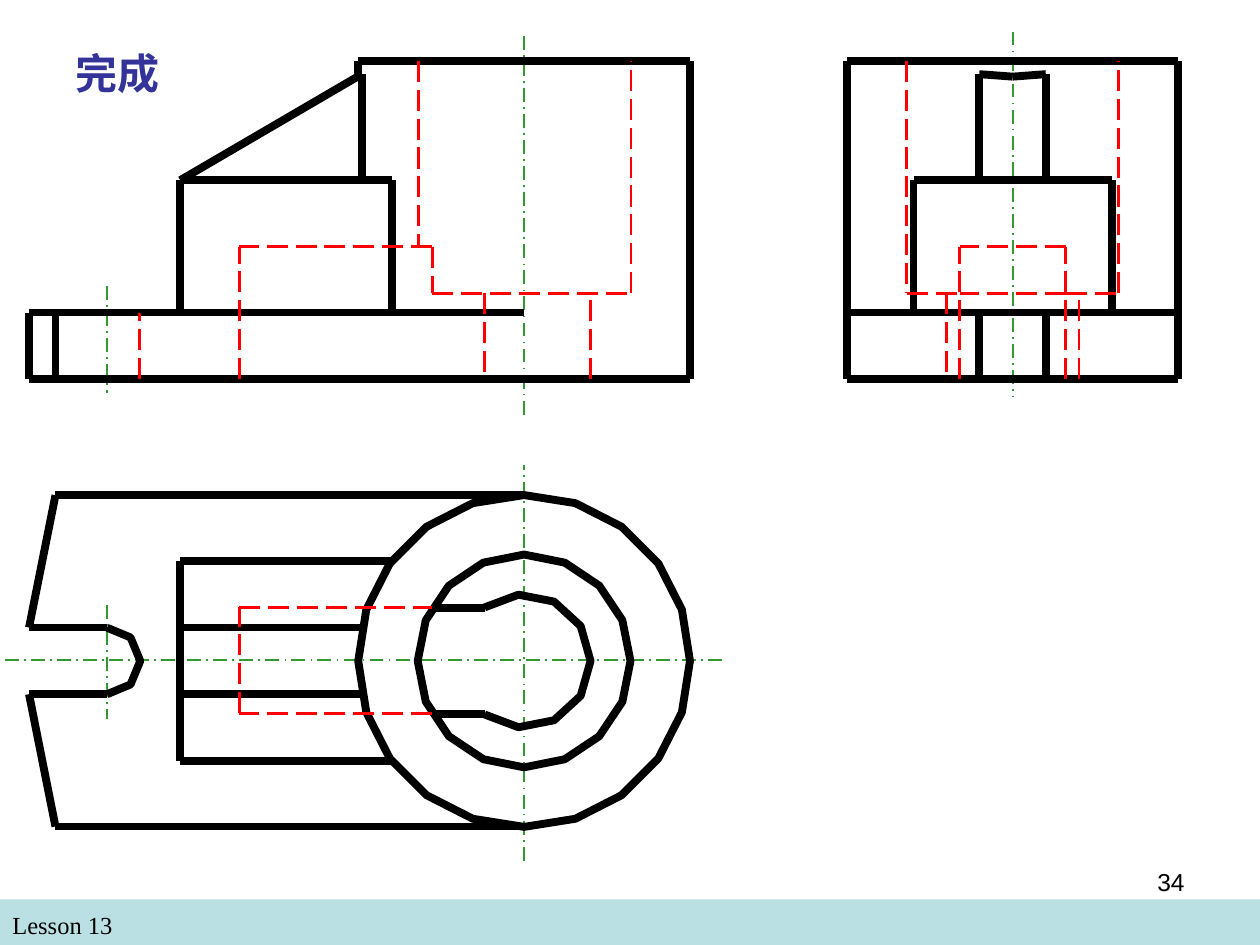
from dataclasses import dataclass
from math import cos, radians, sin

from lxml import etree
from pptx import Presentation
from pptx import util as u
from pptx.dml.color import RGBColor
from pptx.enum import dml, shapes, text
from pptx.oxml.ns import qn

COLOURS = {"centre": "339933", "edge": "000000", "hidden": "FF0000",
           "title": "333399", "footer": "BBE0E3", "ink": "000000"}


@dataclass(frozen=True)
class Pen:
    colour: str
    width: float
    dash: dml.MSO_LINE | None = None


@dataclass(frozen=True)
class Across:
    y: float
    stops: tuple[float, ...]

    def points(self) -> list[tuple[float, float]]:
        return [(x, self.y) for x in self.stops]


@dataclass(frozen=True)
class Down:
    x: float
    stops: tuple[float, ...]

    def points(self) -> list[tuple[float, float]]:
        return [(self.x, y) for y in self.stops]


@dataclass(frozen=True)
class Slant:
    start: tuple[float, float]
    end: tuple[float, float]

    def points(self) -> list[tuple[float, float]]:
        return [self.start, self.end]


@dataclass(frozen=True)
class Arc:
    x: float
    y: float
    radius: float
    sides: int
    reach: float = 180

    def points(self) -> list[tuple[float, float]]:
        angles = [radians(self.reach * (1 - 2 * i / self.sides)) for i in range(self.sides + 1)]
        return [(self.x + self.radius * cos(a), self.y + self.radius * sin(a)) for a in angles]


@dataclass(frozen=True)
class Label:
    words: str
    box: tuple[float, float, float, float]
    size: float
    font: str
    colour: str
    bold: bool = False
    align: text.PP_ALIGN = text.PP_ALIGN.LEFT


CENTRE = Pen("centre", 1, dml.MSO_LINE.LONG_DASH_DOT)
EDGE = Pen("edge", 4.5)
HIDDEN = Pen("hidden", 1.5, dml.MSO_LINE.LONG_DASH)

CENTRE_LINES = [
    Down(299.5, (491.8, 265.7)), Across(377.3, (412.6, 0)), Down(578.7, (18, 226.8)),
    Down(61.2, (345.6, 411.1)), Down(299.5, (236.9, 18)), Down(61.2, (163.4, 224.6)),
]
PLAN_EDGES = [
    Across(283, (31.7, 299.5)), Across(472.3, (299.5, 31.7)),
    Down(103, (434.9, 396.7, 358.6, 320.4)),
    Across(434.9, (223.9, 103)), Across(320.4, (103, 223.9)),
    Slant((16.6, 396.7), (31.7, 472.3)), Slant((31.7, 283), (16.6, 358.6)),
    Arc(61.2, 377.7, 19, 4, 90),
    Across(358.6, (16.6, 61.2)), Across(396.7, (61.2, 16.6)),
    Arc(299.5, 377.7, 94.8, 20),
    Across(396.7, (103, 207)), Across(358.6, (207, 103)),
    Across(407.8, (247, 277.2)), Across(347.4, (277.2, 247)),
    Arc(299.5, 377.7, 38, 8, 126.4), Arc(299.5, 377.7, 60.8, 16),
]
SIDE_EDGES = [
    Across(103, (635.2, 597.6, 559.6, 522)),
    Down(635.2, (178.6, 103)), Down(522, (178.6, 103)),
    Across(178.6, (483.9, 559.6, 597.6, 673.2)),
    Across(216.7, (673.2, 597.6, 559.6, 483.9)),
    Down(673.2, (34.7, 178.6, 216.7)), Down(483.9, (34.7, 178.6, 216.7)),
    Down(559.6, (42.4, 103)), Down(597.6, (42.4, 103)),
    Down(559.6, (178.6, 216.7)), Down(597.6, (178.6, 216.7)),
    Across(34.7, (483.9, 503.3, 673.2)),
    Slant((559.6, 42.4), (578.7, 43.8)), Slant((578.7, 43.8), (597.6, 42.4)),
]
FRONT_EDGES = [
    Across(34.7, (204.6, 394.4)), Across(216.7, (16.6, 31.7, 299.5, 394.4)),
    Across(178.6, (16.6, 31.7, 299.5)),
    Down(16.6, (178.6, 216.7)), Down(31.7, (178.6, 216.7)),
    Slant((103, 103), (206.8, 42.4)), Across(103, (223.9, 103)),
    Down(103, (178.6, 103)), Down(223.9, (103, 178.6)), Down(206.8, (42.4, 103)),
    Down(204.6, (34.7, 43.8)), Down(394.4, (216.7, 34.7)),
]
HIDDEN_LINES = [
    Down(136.8, (407.6, 347)), Across(407.6, (247, 136.8)), Across(347, (136.8, 247)),
    Down(609, (216.7, 141)), Across(141, (609, 548.4)), Down(548.4, (216.7, 141)),
    Across(167.6, (609, 548.4)), Across(167.6, (518.1, 548.4)), Across(167.6, (609, 639.3)),
    Down(518.1, (34.7, 167.6)), Down(639.3, (167.6, 34.7)),
    Down(540.7, (167.6, 216.7)), Down(616.6, (216.7, 167.6)),
    Across(167.6, (247, 360.6)), Across(141, (247, 136.8)), Down(136.8, (216.7, 141)),
    Down(79.7, (216.7, 178.6)), Down(277, (167.6, 216.7)), Down(239, (34.7, 141)),
    Down(247, (141, 167.6)), Down(337.5, (216.7, 167.6)), Down(360.6, (167.6, 34.7)),
]
LABELS = [
    Label("完成", (36, 23.76, 162, 36), 24, "Times New Roman", "title", True),
    Label("34", (516.24, 491.76, 167.76, 37.44), 14, "Arial", "ink", align=text.PP_ALIGN.RIGHT),
    Label("Lesson 13", (0, 516.24, 347.76, 24.48), 14, "Times New Roman", "ink"),
]


def rgb(name: str) -> RGBColor:
    """Look up a named colour."""
    return RGBColor.from_string(COLOURS[name])


def apply_pen(stroke, pen: Pen) -> None:
    """Style a line with a pen."""
    stroke.color.rgb = rgb(pen.colour)
    stroke.width = u.Pt(pen.width)
    if pen.dash is not None:
        stroke.dash_style = pen.dash


def draw_segment(canvas, start: tuple, end: tuple, pen: Pen) -> None:
    """Draw one straight line."""
    ends = [u.Pt(v) for v in (*start, *end)]
    segment = canvas.add_connector(shapes.MSO_CONNECTOR.STRAIGHT, *ends)
    apply_pen(segment.line, pen)
    etree.SubElement(segment._element.spPr, qn("a:effectLst"))


def draw_arc(canvas, arc: Arc, pen: Pen) -> None:
    """Draw a faceted arc, closed when it goes all the way round."""
    first, *rest = [(u.Pt(x), u.Pt(y)) for x, y in arc.points()]
    builder = canvas.build_freeform(*first)
    builder.add_line_segments(rest, close=arc.reach == 180)
    outline = builder.convert_to_shape()
    outline.shadow.inherit = False
    outline.fill.background()
    apply_pen(outline.line, pen)


def draw_strokes(canvas, strokes: list, pen: Pen) -> None:
    """Draw every stroke with the same pen."""
    for stroke in strokes:
        if isinstance(stroke, Arc):
            draw_arc(canvas, stroke, pen)
            continue
        corners = stroke.points()
        for start, end in zip(corners, corners[1:]):
            draw_segment(canvas, start, end, pen)


def draw_label(canvas, label: Label) -> None:
    """Draw one line of text."""
    frame = canvas.add_textbox(*(u.Pt(v) for v in label.box)).text_frame
    frame.word_wrap = True
    words = frame.paragraphs[0]
    words.text = label.words
    words.alignment = label.align
    words.font.size, words.font.name = u.Pt(label.size), label.font
    words.font.bold, words.font.color.rgb = label.bold, rgb(label.colour)


def main() -> None:
    """Build the three-view drawing slide."""
    deck = Presentation()
    deck.slide_width, deck.slide_height = u.Pt(720), u.Pt(540)
    canvas = deck.slides.add_slide(deck.slide_layouts[6]).shapes
    footer = canvas.add_shape(shapes.MSO_SHAPE.RECTANGLE, 0, u.Pt(513.9), u.Pt(720), u.Pt(26.1))
    footer.shadow.inherit = False
    footer.fill.solid()
    footer.fill.fore_color.rgb = rgb("footer")
    footer.line.fill.background()
    draw_strokes(canvas.add_group_shape().shapes, CENTRE_LINES, CENTRE)
    views = canvas.add_group_shape().shapes
    draw_strokes(views, PLAN_EDGES + SIDE_EDGES + FRONT_EDGES, EDGE)
    draw_strokes(views, HIDDEN_LINES, HIDDEN)
    for label in LABELS:
        draw_label(canvas, label)
    deck.save("out.pptx")


if __name__ == "__main__":
    main()
